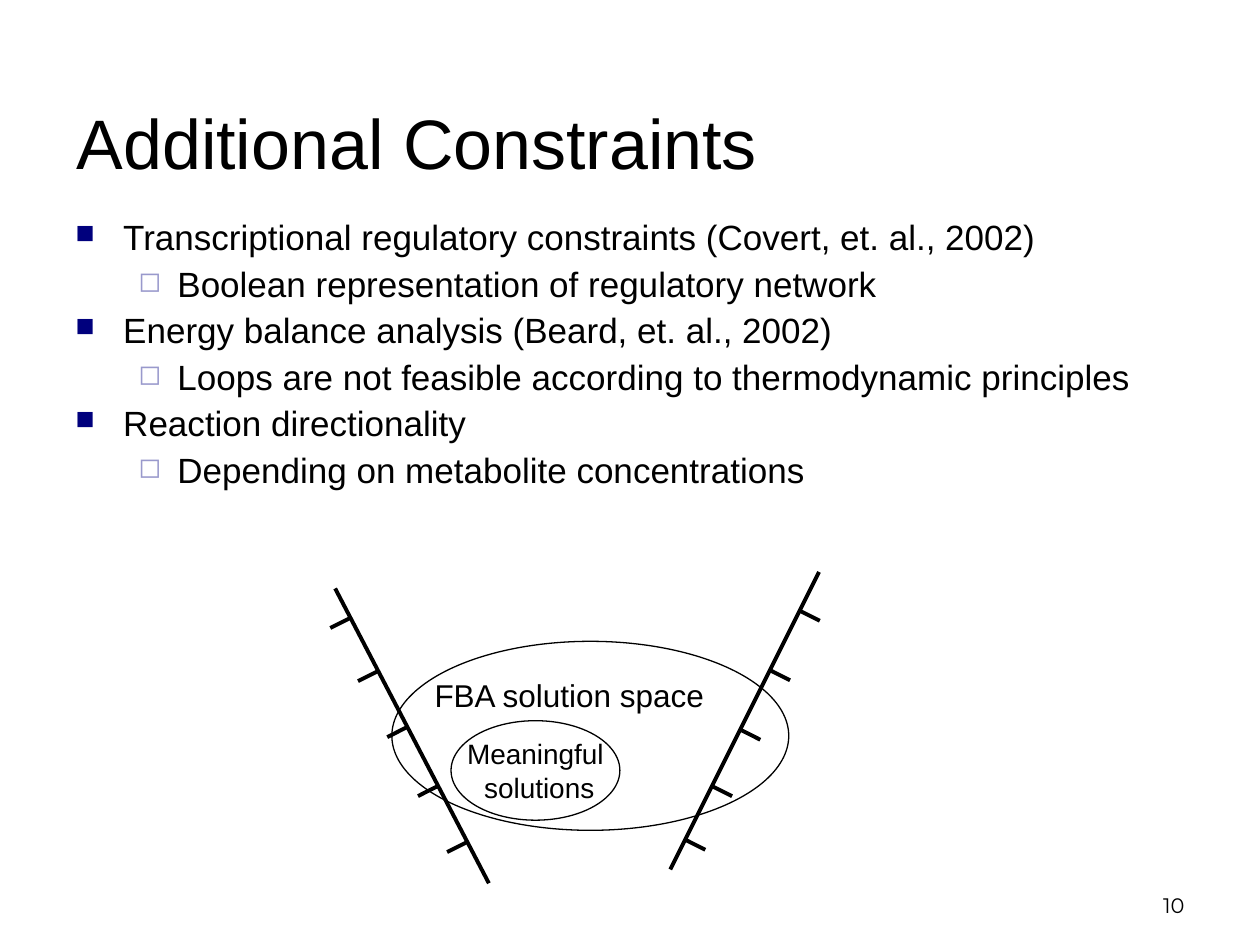
"""Build the slide on additional constraints for flux balance analysis."""
from lxml import etree
from pptx import Presentation, util as u
from pptx.dml.color import RGBColor
from pptx.enum import shapes, text
from pptx.oxml.ns import qn

WIDE, HIGH = u.Inches(10), u.Inches(7.5)
THEME = {
    "font": "Arial", "folio": "Montserrat", "ink": "000000",
    "title": 40, "body": 20, "label": 18, "inner": 16, "small": 12,
    "thin": 0.75, "thick": 2.25,
}
LEVELS = [
    {"mark": "■", "color": "00007D", "size": 75, "left": 0.38, "hang": 0.38},
    {"mark": "◻", "color": "9999CC", "size": 80, "left": 0.81, "hang": 0.31},
]
POINTS = [
    ("Transcriptional regulatory constraints (Covert, et. al., 2002)",
     "Boolean representation of regulatory network"),
    ("Energy balance analysis (Beard, et. al., 2002)",
     "Loops are not feasible according to thermodynamic principles"),
    ("Reaction directionality", "Depending on metabolite concentrations"),
]
AREAS = {
    "title": (5.1, 9.07, 90, 20),
    "body": (5, 22.67, 90, 56.67),
    "space": (31.1, 67.87, 31.5, 20),
    "label": (33.5, 70.93, 29.1, 5.33),
    "inner": (35.8, 76.27, 13.4, 10.53),
    "folio": (71.7, 91.07, 23.3, 6.67),
}
WALLS = [
    {"top": (65, 60.53), "foot": (53.2, 92), "tick": (1.6, 1.07),
     "stops": (0.13, 0.33, 0.53, 0.72, 0.9)},
    {"top": (26.6, 62.27), "foot": (38.8, 93.47), "tick": (-1.6, 1.07),
     "stops": (0.1, 0.28, 0.47, 0.67, 0.86)},
]


def scale(*nums):
    return [int(n * (HIGH if i % 2 else WIDE) / 100) for i, n in enumerate(nums)]


def apply(item, vals):
    for key, val in vals.items():
        setattr(item, key, val)


def write(frame, lines, size, font=THEME["font"], para={}, **box):
    apply(frame, {"word_wrap": True, **box})
    for i, line in enumerate(lines):
        par = frame.add_paragraph() if i else frame.paragraphs[0]
        apply(par, para)
        run = par.add_run()
        run.text = line
        apply(run.font, {"size": u.Pt(size), "name": font})
        run.font.color.rgb = RGBColor.from_string(THEME["ink"])
    return frame.paragraphs


def add_text(slide, area, *args, **opts):
    return write(slide.shapes.add_textbox(*scale(*AREAS[area])).text_frame, *args, **opts)


def add_mark(par, look):
    props = par._p.get_or_add_pPr()
    props.set("marL", str(u.Inches(look["left"])))
    props.set("indent", str(-u.Inches(look["hang"])))
    tint = etree.SubElement(props, qn("a:buClr"))
    etree.SubElement(tint, qn("a:srgbClr"), val=look["color"])
    etree.SubElement(props, qn("a:buSzPct"), val=str(look["size"] * 1000))
    etree.SubElement(props, qn("a:buChar"), char=look["mark"])


def ink_line(item, width):
    item.line.width = u.Pt(width)
    item.line.color.rgb = RGBColor.from_string(THEME["ink"])


def add_oval(slide, area):
    oval = slide.shapes.add_shape(shapes.MSO_SHAPE.OVAL, *scale(*AREAS[area]))
    oval.shadow.inherit = False
    oval.fill.background()
    ink_line(oval, THEME["thin"])
    return oval


def add_wall(slide, wall):
    top, foot, tick = wall["top"], wall["foot"], wall["tick"]
    lines = [(*foot, *top)]
    for stop in wall["stops"]:
        x, y = (a + (b - a) * stop for a, b in zip(top, foot))
        lines.append((x, y, x + tick[0], y + tick[1]))
    group = slide.shapes.add_group_shape()
    for ends in lines:
        line = group.shapes.add_connector(shapes.MSO_CONNECTOR.STRAIGHT, *scale(*ends))
        ink_line(line, THEME["thick"])
        etree.SubElement(line._element.spPr, qn("a:effectLst"))


def main():
    deck = Presentation()
    apply(deck, {"slide_width": WIDE, "slide_height": HIGH})
    slide = deck.slides.add_slide(deck.slide_layouts[6])
    add_text(slide, "title", ["Additional Constraints"], THEME["title"],
             margin_top=u.Inches(0.11))
    rows = [line for pair in POINTS for line in pair]
    for i, par in enumerate(add_text(slide, "body", rows, THEME["body"])):
        apply(par, {"level": i % 2, "line_spacing": 0.9, "space_before": u.Pt(5 if i else 0)})
        add_mark(par, LEVELS[i % 2])
    add_oval(slide, "space")
    add_text(slide, "label", ["FBA solution space"], THEME["label"])
    for wall in WALLS:
        add_wall(slide, wall)
    write(add_oval(slide, "inner").text_frame, ["Meaningful", " solutions"], THEME["inner"],
          para={"alignment": text.PP_ALIGN.CENTER}, word_wrap=False,
          vertical_anchor=text.MSO_ANCHOR.MIDDLE)
    add_text(slide, "folio", ["10"], THEME["small"], THEME["folio"],
             para={"alignment": text.PP_ALIGN.RIGHT}, vertical_anchor=text.MSO_ANCHOR.BOTTOM)
    deck.save("out.pptx")


if __name__ == "__main__":
    main()
